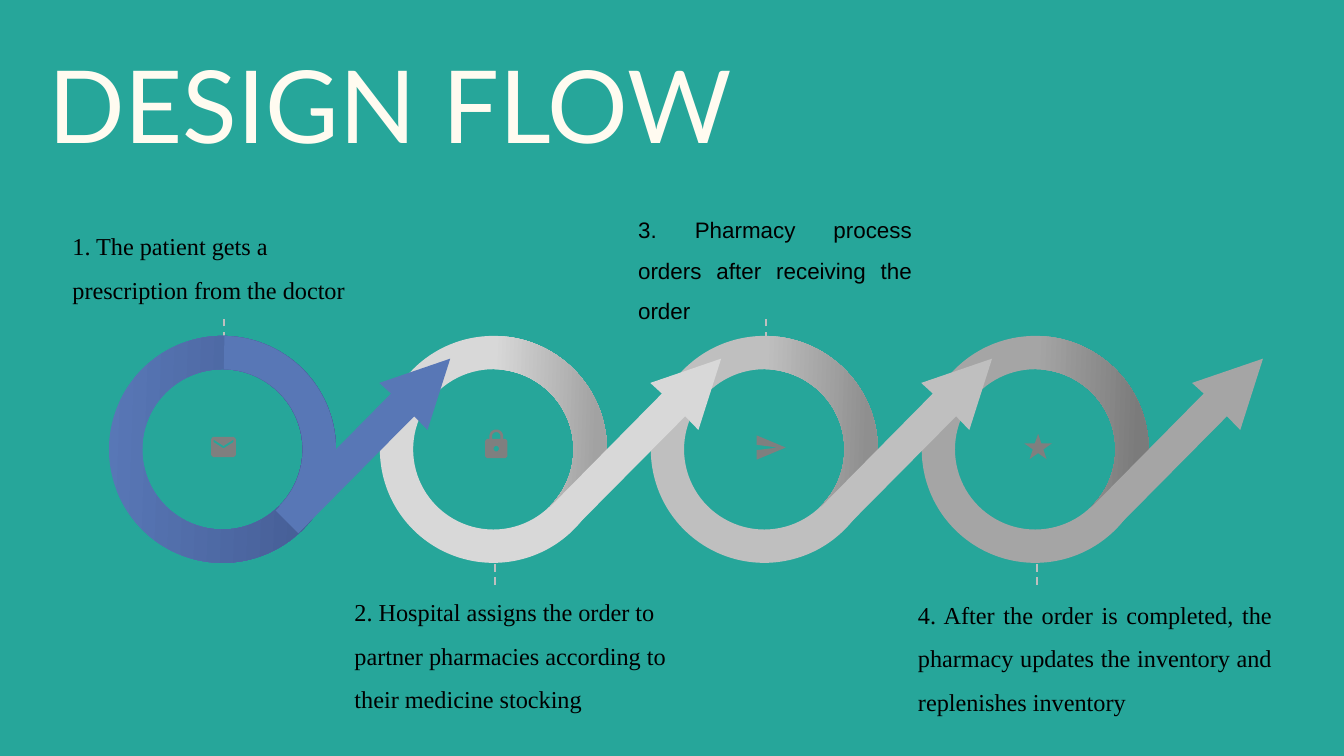
from math import cos, radians, sin

from lxml import etree
from pptx import Presentation
from pptx.dml.color import RGBColor
from pptx.enum.dml import MSO_LINE
from pptx.enum.shapes import MSO_CONNECTOR, MSO_SHAPE
from pptx.enum.text import MSO_ANCHOR, MSO_AUTO_SIZE, PP_ALIGN
from pptx.oxml.ns import qn
from pptx.util import Cm, Pt

STRAIGHT, DASH = MSO_CONNECTOR.STRAIGHT, MSO_LINE.DASH
DONUT, STAR = MSO_SHAPE.DONUT, MSO_SHAPE.STAR_5_POINT
MIDDLE, NO_FIT = MSO_ANCHOR.MIDDLE, MSO_AUTO_SIZE.NONE
LEFT, JUSTIFY = PP_ALIGN.LEFT, PP_ALIGN.JUSTIFY

TEAL = RGBColor(0x26, 0xA6, 0x9A)
CREAM = RGBColor(0xFF, 0xFB, 0xF0)
BLACK = RGBColor(0, 0, 0)
ICON_GREY = RGBColor(0x7F, 0x7F, 0x7F)
BLUE, DARK_BLUE = RGBColor(0x58, 0x77, 0xB6), RGBColor(0x46, 0x5E, 0x96)
PALE, DARK_PALE = RGBColor(0xD8, 0xD8, 0xD8), RGBColor(0xA2, 0xA2, 0xA2)
SILVER, DARK_SILVER = RGBColor(0xBF, 0xBF, 0xBF), RGBColor(0x8F, 0x8F, 0x8F)
GREY, DARK_GREY = RGBColor(0xA5, 0xA5, 0xA5), RGBColor(0x7B, 0x7B, 0x7B)

# Stage geometry in cm
RING, BAND = 4.29, 0.63
FIRST_LEFT, RING_TOP, STEP = 2.06, 6.35, 5.12
ARROW = [(6.45, 0.43), (5.11, 0.89), (5.33, 1.09), (3.15, 3.3),
         (3.58, 3.73), (5.77, 1.52), (6.02, 1.78)]


def arc(cx, cy, rx, ry, start, end, steps=40):
    """Points on an ellipse, with angles running clockwise from the right."""
    angles = [radians(start + (end - start) * i / steps) for i in range(steps + 1)]
    return [(cx + rx * cos(a), cy + ry * sin(a)) for a in angles]


# Icon contours as fractions of the icon's box
ENVELOPE = [
    [(0.08, 0), (0.92, 0), (1, 0.1), (1, 0.9), (0.92, 1), (0.08, 1), (0, 0.9), (0, 0.1)],
    [(0.1, 0.13), (0.5, 0.45), (0.9, 0.13), (0.9, 0.26), (0.5, 0.57), (0.1, 0.26)],
]
PADLOCK = [
    [(0.08, 0.33), (0.19, 0.33)] + arc(0.5, 0.24, 0.31, 0.24, 180, 360)
    + [(0.81, 0.33), (0.92, 0.33), (1, 0.4), (1, 0.94), (0.92, 1),
       (0.08, 1), (0, 0.94), (0, 0.4)],
    [(0.31, 0.33)] + arc(0.5, 0.24, 0.19, 0.15, 180, 360) + [(0.69, 0.33)],
    arc(0.5, 0.67, 0.12, 0.1, 0, 360),
]
PAPER_PLANE = [[(0, 1), (1, 0.5), (0, 0), (0, 0.39), (0.72, 0.5), (0, 0.61)]]


def paint(shape, color, dark=None):
    shape.shadow.inherit = False
    shape.line.fill.background()
    if dark is None:
        shape.fill.solid()
        shape.fill.fore_color.rgb = color
        return
    shape.fill.gradient()
    shape.fill.gradient_angle = 358
    for stop, position, tone in zip(shape.fill.gradient_stops, (0, 0.9), (color, dark)):
        stop.position, stop.color.rgb = position, tone


def add_outline(slide, box, contours):
    """Draw contours given as fractions of a box (left, top, width, height)."""
    left, top, width, height = box
    placed = [[(Cm(left + x * width), Cm(top + y * height)) for x, y in contour]
              for contour in contours]
    builder = slide.shapes.build_freeform(*placed[0][0])
    for i, contour in enumerate(placed):
        if i:
            builder.move_to(*contour[0])
        builder.add_line_segments(contour[1:], close=True)
    return builder.convert_to_shape()


def set_text(frame, text, align, margin, spacing, font):
    settings = {"word_wrap": True, "auto_size": NO_FIT, "vertical_anchor": MIDDLE}
    settings |= {f"margin_{side}": Cm(margin) for side in ("left", "right", "top", "bottom")}
    for name, value in settings.items():
        setattr(frame, name, value)
    paragraph = frame.paragraphs[0]
    paragraph.alignment, paragraph.line_spacing = align, spacing
    run = paragraph.add_run()
    run.text = text
    color = font.pop("color")
    run.font.color.rgb = color
    for name, value in font.items():
        setattr(run.font, name, value)


def add_title(slide, box, text):
    title = slide.shapes.title
    for name, value in zip(("left", "top", "width", "height"), box):
        setattr(title, name, Cm(value))
    set_text(title.text_frame, text, LEFT, 0.25, 1.0,
             {"name": "Lato", "size": Pt(54), "color": CREAM})


def add_tick(slide, x, top, height):
    tick = slide.shapes.add_connector(STRAIGHT, Cm(x), Cm(top + height), Cm(x), Cm(top))
    tick.line.color.rgb, tick.line.width, tick.line.dash_style = SILVER, Pt(1), DASH
    etree.SubElement(tick._element.spPr, qn("a:effectLst"))


def add_stage(slide, left, top, ring_colors, band_colors, arrow_color):
    # Ring
    ring = slide.shapes.add_shape(DONUT, Cm(left), Cm(top), Cm(RING), Cm(RING))
    ring.adjustments[0] = BAND / RING
    paint(ring, *ring_colors)
    # Right-hand band from the top of the ring to the arrow's tail
    radius = RING / 2
    hole = radius - BAND
    band = (arc(radius, radius, radius, radius, -89, 30)
            + arc(radius, radius, hole, hole, 45, -89))
    paint(add_outline(slide, (left, top, 1, 1), [band]), *band_colors)
    # Arrow
    paint(add_outline(slide, (left, top, 1, 1), [ARROW]), arrow_color)


def add_icon(slide, box, contours):
    if contours is None:
        icon = slide.shapes.add_shape(STAR, *map(Cm, box))
    else:
        icon = add_outline(slide, box, contours)
    paint(icon, ICON_GREY)


def add_caption(slide, box, text, align, font_name, size):
    caption = slide.shapes.add_textbox(*map(Cm, box))
    set_text(caption.text_frame, text, align, 0.05, 1.5,
             {"name": font_name, "size": Pt(size), "color": BLACK})


def main():
    deck = Presentation()
    deck.slide_width, deck.slide_height = Cm(25.4), Cm(14.29)
    slide = deck.slides.add_slide(deck.slide_layouts[5])
    slide.background.fill.solid()
    slide.background.fill.fore_color.rgb = TEAL
    add_title(slide, (0.66, 0.56, 15.42, 2.79), "DESIGN FLOW")

    # Ticks alternate above and below the rings
    lefts = [FIRST_LEFT + STEP * i for i in range(4)]
    for i, left in enumerate(lefts):
        add_tick(slide, left + 2.18, 10.36 if i % 2 else 5.97, 0.69)

    # Stages, last first so that each arrow overlaps the next ring
    tones = [(BLUE, DARK_BLUE), (PALE, DARK_PALE), (SILVER, DARK_SILVER), (GREY, DARK_GREY)]
    for i in reversed(range(4)):
        plain, shaded = tones[i][:1], tones[i]
        ring, band = (plain, shaded) if i else (shaded, plain)
        add_stage(slide, lefts[i], RING_TOP, ring, band, tones[i][0])

    # Icons
    for box, contours in [
        ((3.99, 8.26, 0.47, 0.38), ENVELOPE),
        ((9.17, 8.12, 0.42, 0.54), PADLOCK),
        ((14.3, 8.23, 0.55, 0.46), PAPER_PLANE),
        ((19.36, 8.2, 0.52, 0.48), None),
    ]:
        add_icon(slide, box, contours)

    # Captions
    for caption in [
        ((1.32, 4.09, 5.66, 1.68), "1. The patient gets a prescription from the doctor",
         LEFT, "Times New Roman", 13),
        ((6.65, 11, 6.05, 2.51), "2. Hospital assigns the order to partner pharmacies "
         "according to their medicine stocking", LEFT, "Times New Roman", 13),
        ((12.01, 4.14, 5.28, 1.68), "3. Pharmacy process orders after receiving the order",
         JUSTIFY, "Arial", 12),
        ((17.3, 11.05, 6.78, 2.51), "4. After the order is completed, the pharmacy updates "
         "the inventory and replenishes inventory", JUSTIFY, "Times New Roman", 13),
    ]:
        add_caption(slide, *caption)

    deck.save("out.pptx")


if __name__ == "__main__":
    main()
